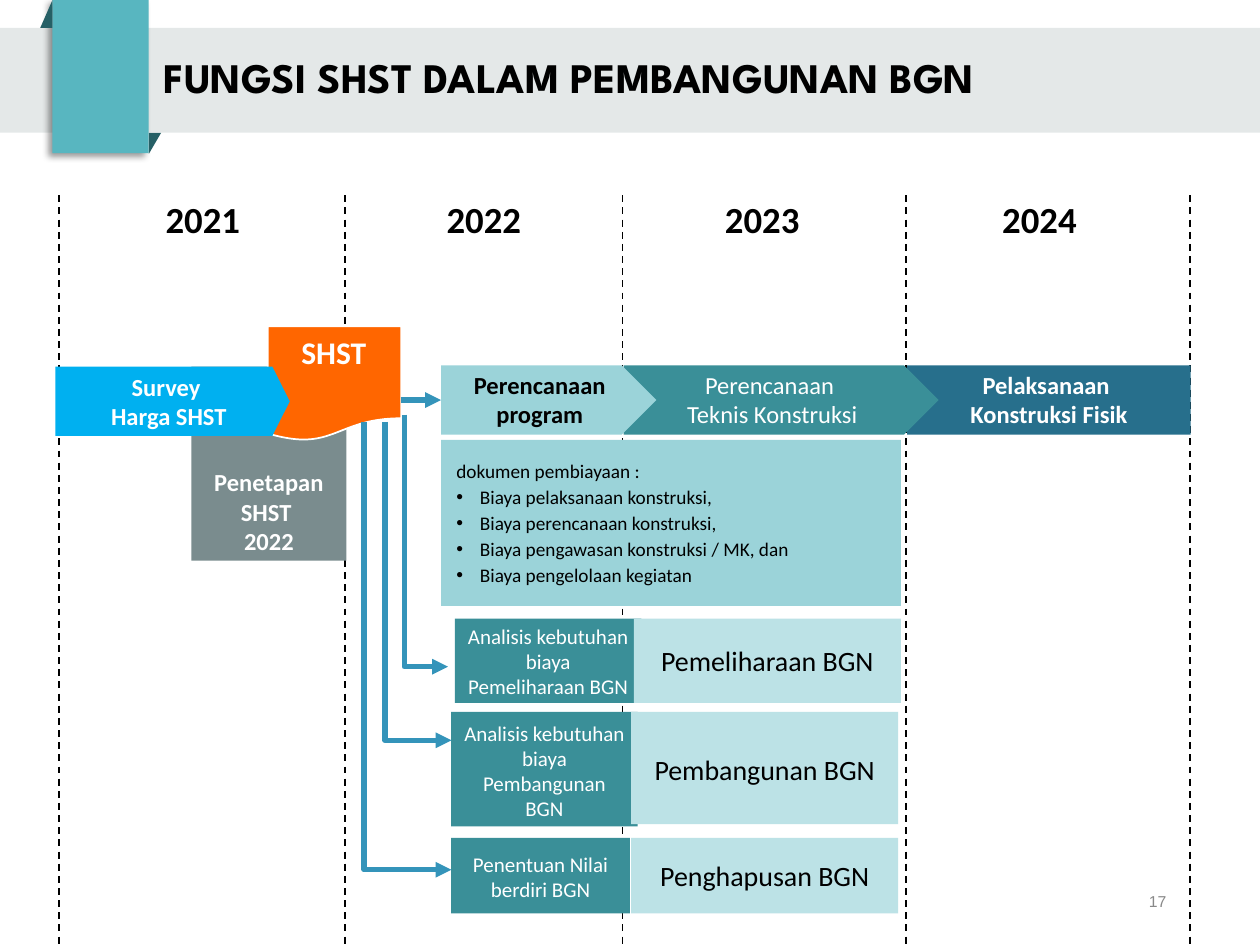
"""Build the slide on the role of SHST in state building development, 2021 to 2024."""
from lxml.etree import SubElement
from pptx import Presentation
from pptx.dml.color import RGBColor
from pptx.enum.dml import MSO_LINE
from pptx.enum.shapes import MSO_CONNECTOR, MSO_SHAPE
from pptx.enum.text import MSO_ANCHOR, PP_ALIGN
from pptx.oxml.ns import qn
from pptx.util import Pt

COLORS = {
    "black": "000000", "white": "FFFFFF", "number": "898989", "band": "E4E8E8",
    "ribbon": "58B6C0", "fold": "266066", "gray": "7A8C8E", "navy": "276F8C",
    "teal": "3A8F98", "aqua": "9BD3D9", "pale": "BCE2E6", "orange": "FF6600",
    "blue": "00B0F0", "arrow": "3494BA",
}

deck = Presentation()
deck.slide_width, deck.slide_height = Pt(720), Pt(540)
slide = deck.slides.add_slide(deck.slide_layouts[6])
shapes = slide.shapes


def paint(shape, fill=None, line=None, width=1):
    shape.shadow.inherit = False
    if fill:
        shape.fill.solid()
        shape.fill.fore_color.rgb = RGBColor.from_string(COLORS[fill])
    else:
        shape.fill.background()
    if line:
        shape.line.color.rgb = RGBColor.from_string(COLORS[line])
        shape.line.width = Pt(width)
    else:
        shape.line.fill.background()
    return shape


def write(text, holder, size=14, color="white", bold=False, font="Calibri",
          align=PP_ALIGN.CENTER, anchor=MSO_ANCHOR.MIDDLE,
          indent=0, spacing=None, bullets=False):
    frame = holder.text_frame
    frame.word_wrap = True
    frame.vertical_anchor = anchor
    frame.margin_left = frame.margin_right = Pt(3.75)
    frame.margin_top = frame.margin_bottom = Pt(3.75)
    for index, words in enumerate(text.split("\n")):
        paragraph = frame.paragraphs[0] if index == 0 else frame.add_paragraph()
        paragraph.alignment = align
        properties = paragraph._p.get_or_add_pPr()
        if indent:
            properties.set("indent", str(Pt(indent)))
        if spacing:
            paragraph.line_spacing = spacing
        if bullets and index:
            properties.set("marL", str(Pt(13.5)))
            properties.set("indent", str(-Pt(13.5)))
            paragraph.line_spacing = 0.9
            paragraph.space_before = Pt(3)
            SubElement(properties, qn("a:buFont"), typeface="Arial")
            SubElement(properties, qn("a:buChar"), char="•")
        run = paragraph.add_run()
        run.text = words
        run.font.size, run.font.bold, run.font.name = Pt(size), bold, font
        run.font.color.rgb = RGBColor.from_string(COLORS[color])


for x in (33.8, 197.3, 355.8, 517.7, 680.2):
    divider = shapes.add_connector(MSO_CONNECTOR.STRAIGHT, Pt(x), Pt(111.6), Pt(x), Pt(540))
    divider.line.color.rgb = RGBColor.from_string(COLORS["black"])
    divider.line.width = Pt(1)
    divider.line.dash_style = MSO_LINE.DASH
    SubElement(divider._element.spPr, qn("a:effectLst"))

years = [("2021", 34.6, 106.6, 162.7, 36.7), ("2022", 200.9, 106.6, 151.2, 36.7),
         ("2023", 360, 108.7, 151.2, 32.4), ("2024", 518.4, 108.7, 151.2, 32.4)]
for year, *box in years:
    write(year, shapes.add_textbox(*map(Pt, box)), size=21, color="black", bold=True)

RECT, STEP = MSO_SHAPE.RECTANGLE, MSO_SHAPE.PENTAGON
heading = dict(bold=True)
task = dict(size=12)
result = dict(size=16, color="black")
documents = """dokumen pembiayaan :
Biaya pelaksanaan konstruksi,
Biaya perencanaan konstruksi,
Biaya pengawasan konstruksi / MK, dan
Biaya pengelolaan kegiatan"""
blocks = [
    (RECT, "gray", (109.4, 209.5, 88.6, 110.9), (113, 262.8, 81.4, 58.3),
     "Penetapan SHST \n2022", dict(bold=True, anchor=MSO_ANCHOR.BOTTOM)),
    (RECT, "navy", (518.4, 208.8, 162, 39.6), (522, 208.8, 154.8, 38.9),
     "Pelaksanaan \nKonstruksi Fisik", heading),
    (STEP, "teal", (356.4, 208.8, 180, 39.6), (360, 208.8, 162.7, 38.9),
     "Perencanaan \nTeknis Konstruksi", {}),
    (STEP, "aqua", (252, 208.8, 123.1, 39.6), (255.6, 208.8, 105.8, 38.9),
     "Perencanaan program", dict(bold=True, color="black")),
    (MSO_SHAPE.FLOWCHART_DOCUMENT, "orange", (153, 186.5, 76.3, 65.5), (156.2, 186.5, 69.1, 28.8),
     "SHST", dict(size=18, bold=True, anchor=MSO_ANCHOR.TOP)),
    (STEP, "blue", (31.7, 209.5, 133.9, 39.6), (35.3, 208.8, 122.4, 41),
     "Survey \nHarga SHST", heading),
    (RECT, "aqua", (252, 251.3, 262.8, 95), (257, 255.6, 253.4, 86.4),
     documents, dict(size=11, color="black", align=PP_ALIGN.LEFT, bullets=True)),
    (RECT, "teal", (259.9, 353.5, 106.6, 48.2), (263.5, 352.1, 99.4, 51.1),
     "Analisis kebutuhan biaya Pemeliharaan BGN", task),
    (RECT, "pale", (362.2, 353.5, 152.6, 48.2), (365.8, 364.3, 145.4, 26.6),
     "Pemeliharaan BGN", result),
    (RECT, "teal", (257.8, 406.8, 106.6, 65.5), (261.4, 407.5, 99.4, 65.5),
     "Analisis kebutuhan biaya Pembangunan BGN", task),
    (RECT, "pale", (360.7, 406.8, 152.6, 64.1), (364.3, 428.4, 145.4, 22.3),
     "Pembangunan BGN", result),
    (RECT, "teal", (257.8, 478.8, 102.2, 43.2), (261.4, 483.1, 95, 35.3),
     "Penentuan Nilai berdiri BGN", task),
    (RECT, "pale", (360.7, 478.8, 152.6, 43.2), (364.3, 487.4, 145.4, 25.9),
     "Penghapusan BGN", result),
]
drawn = {}
for kind, fill, box, text_box, text, style in blocks:
    block = shapes.add_shape(kind, *map(Pt, box))
    paint(block, fill, "white" if fill == "orange" else None)
    if kind == STEP:
        block.adjustments[0] = 0.25 if fill == "blue" else 0.5
    write(text, shapes.add_textbox(*map(Pt, text_box)), **style)
    drawn[text] = block

program_arrow = shapes.add_connector(MSO_CONNECTOR.STRAIGHT, Pt(229), Pt(228.6), Pt(252), Pt(228.6))
program_arrow.end_connect(drawn["Perencanaan program"], 1)
program_arrow.line.color.rgb = RGBColor.from_string(COLORS["arrow"])
program_arrow.line.width = Pt(3)
SubElement(program_arrow._element.spPr, qn("a:effectLst"))
arrows = [program_arrow]
for x, top, bottom, end in [(208.1, 241.2, 496.8, 257.8), (220.3, 241.2, 423.4, 257.8),
                            (231.1, 236.9, 380.9, 255.6)]:
    route = shapes.build_freeform(x, top, scale=Pt(1))
    route.add_line_segments([(x, bottom), (end, bottom)], close=False)
    arrows.append(paint(route.convert_to_shape(), line="arrow", width=3))
for arrow in arrows:
    SubElement(arrow.line._get_or_add_ln(), qn("a:tailEnd"), type="triangle")

band = paint(shapes.add_shape(RECT, 0, Pt(16), Pt(720), Pt(59.8)), "band")
write("FUNGSI SHST DALAM PEMBANGUNAN BGN", band, size=24, color="black", bold=True,
      font="League Spartan", align=PP_ALIGN.LEFT, indent=90, spacing=0.9)

ribbon = paint(shapes.add_shape(RECT, Pt(30), 0, Pt(55), Pt(87.6)), "ribbon")
shadow = SubElement(ribbon._element.spPr.find(qn("a:effectLst")), qn("a:outerShdw"),
                    blurRad=str(Pt(4)), dist=str(Pt(3)), dir="8100000", algn="tr", rotWithShape="0")
shade = SubElement(shadow, qn("a:srgbClr"), val=COLORS["black"])
SubElement(shade, qn("a:alpha"), val="40000")
for corner, *others in [[(30, 0), (30, 16), (23, 16)], [(85, 87.6), (85, 75.8), (92, 75.8)]]:
    fold = shapes.build_freeform(*corner, scale=Pt(1))
    fold.add_line_segments(others, close=True)
    paint(fold.convert_to_shape(), "fold")

write("17", shapes.add_textbox(Pt(649), Pt(506.2), Pt(21.3), Pt(17.3)), size=9,
      color="number", font="Arial", align=PP_ALIGN.RIGHT)

deck.save("out.pptx")
